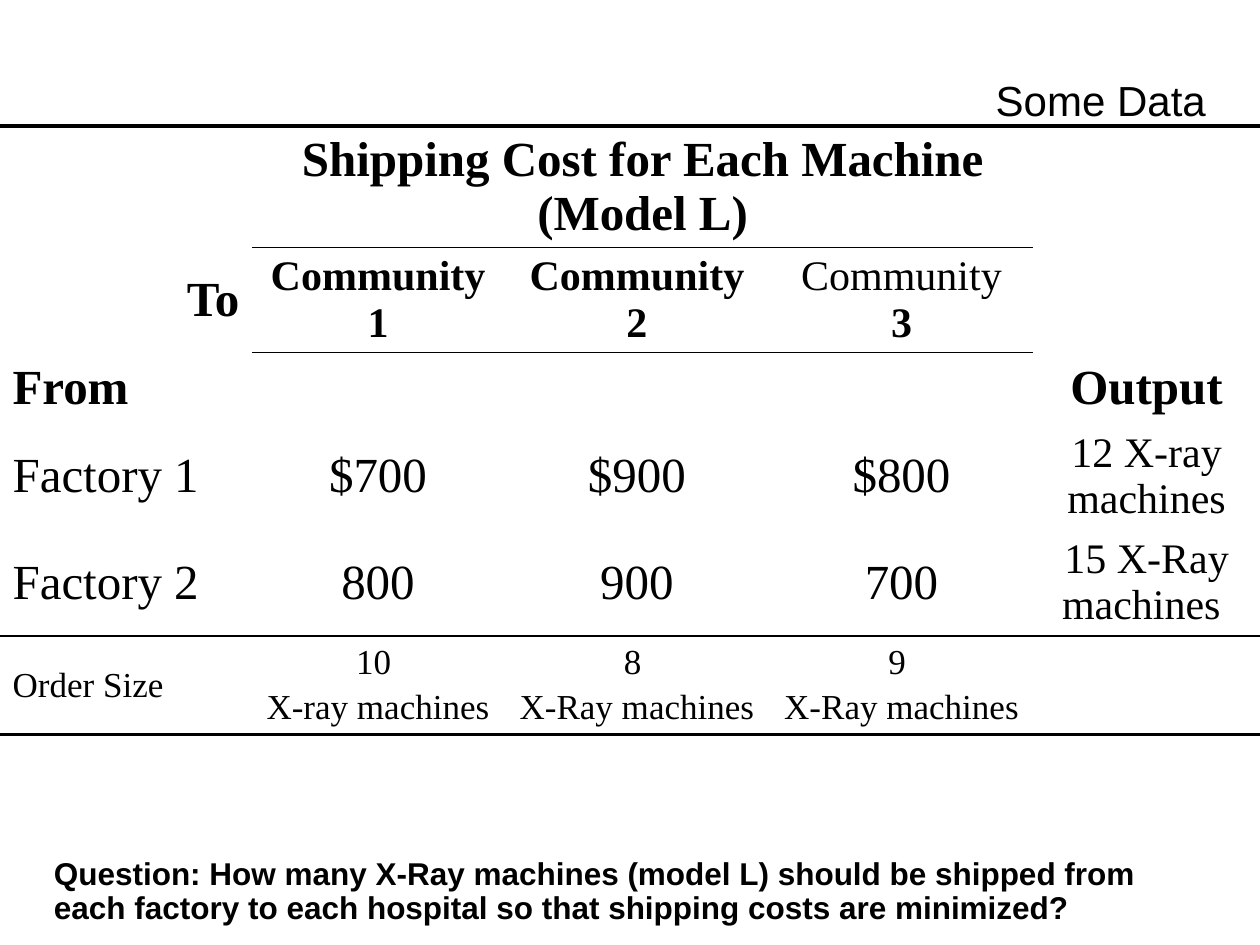
from lxml import etree
from pptx import Presentation
from pptx.dml.color import RGBColor
from pptx.enum.text import MSO_ANCHOR, PP_ALIGN
from pptx.oxml.ns import qn
from pptx.util import Inches, Pt

BLACK = "000000"
SERIF, SANS = "Times New Roman", "Arial"
THICK, THIN = 2.25, 0.75
NO_GRID_STYLE = "{2D5ABB26-0587-4C30-8999-92F81FD0307C}"

TITLE = "Some Data"
QUESTION = ("Question: How many X-Ray machines (model L) should be shipped from "
            "each factory to each hospital so that shipping costs are minimized?")

# A newline starts a new paragraph, \v breaks a line.
ROWS = [
    ["", "Shipping Cost for Each Machine (Model L)", "", "", ""],
    ["To", "Community 1", "Community 2", "Community\v3", ""],
    ["From", "", "", "", "Output"],
    ["Factory 1", "$700", "$900", "$800", "12 X-ray machines"],
    ["Factory 2", "800", "900", "700", "15 X-Ray machines "],
    ["Order Size", "10 \nX-ray machines ", "8 \nX-Ray machines", "9 \nX-Ray machines", ""],
]
COLUMN_WIDTHS = [2, 2, 2.11, 2.09, 1.8]
ROW_HEIGHTS = [0.96, 0.83, 0.56, 0.84, 0.85, 0.78]
BOLD_ROWS = 3
ORDER_ROW = len(ROWS) - 1
COST_COLUMNS = range(1, 4)


def style_font(font, name, size, bold=False, color=BLACK):
    font.name, font.size, font.bold = name, Pt(size), bold
    font.color.rgb = RGBColor.from_string(color)


def text_size(row, column):
    if row == ORDER_ROW:
        return 20
    is_community = row == 1 and column in COST_COLUMNS
    is_output = row > 2 and column == 4
    return 24 if is_community or is_output else 28


def text_alignment(row, column):
    if column:
        return PP_ALIGN.CENTER
    return PP_ALIGN.RIGHT if row == 1 else PP_ALIGN.LEFT


def cell_borders(row, column):
    """Return the widths of the top and bottom lines, where there are any."""
    top = {0: THICK, ORDER_ROW: THIN}.get(row)
    bottom = {ORDER_ROW - 1: THIN, ORDER_ROW: THICK}.get(row)
    if column in COST_COLUMNS:
        top = THIN if row == 1 else top
        bottom = THIN if row == 0 else bottom
    return {"a:lnT": top, "a:lnB": bottom}


def draw_borders(cell, borders):
    properties = cell._tc.get_or_add_tcPr()
    for tag, width in borders.items():
        if width:
            line = etree.SubElement(properties, qn(tag), w=str(Pt(width)))
            fill = etree.SubElement(line, qn("a:solidFill"))
            etree.SubElement(fill, qn("a:srgbClr"), val=BLACK)


def fill_cell(cell, row, column, text):
    draw_borders(cell, cell_borders(row, column))
    cell.fill.background()
    cell.vertical_anchor = MSO_ANCHOR.MIDDLE
    if not text:
        return
    size = text_size(row, column)
    cell.text_frame.text = text
    for index, paragraph in enumerate(cell.text_frame.paragraphs):
        paragraph.alignment = text_alignment(row, column)
        paragraph.space_before = Pt(0.2 * size if index else 0)
        style_font(paragraph.font, SERIF, size, row < BOLD_ROWS)


def add_cost_table(slide):
    frame = slide.shapes.add_table(len(ROWS), len(COLUMN_WIDTHS), Inches(0), Inches(1),
                                   Inches(sum(COLUMN_WIDTHS)), Inches(sum(ROW_HEIGHTS)))
    table = frame.table
    table.first_row = table.horz_banding = False
    next(frame.element.iter(qn("a:tableStyleId"))).text = NO_GRID_STYLE
    for column, width in zip(table.columns, COLUMN_WIDTHS):
        column.width = Inches(width)
    for row, height in zip(table.rows, ROW_HEIGHTS):
        row.height = Inches(height)
    table.cell(0, COST_COLUMNS[0]).merge(table.cell(0, COST_COLUMNS[-1]))
    for row, texts in enumerate(ROWS):
        for column, text in enumerate(texts):
            fill_cell(table.cell(row, column), row, column, text)
    table.cell(1, 3).text_frame.paragraphs[0].runs[0].font.bold = False


def add_title(slide):
    title = slide.shapes.title
    title.left, title.top = Inches(1.5), Inches(0.17)
    title.width, title.height = Inches(8.17), Inches(1.25)
    title.text_frame.text = TITLE
    title.text_frame.vertical_anchor = MSO_ANCHOR.MIDDLE
    paragraph = title.text_frame.paragraphs[0]
    paragraph.alignment = PP_ALIGN.RIGHT
    style_font(paragraph.font, SANS, 24)


def add_question(slide):
    box = slide.shapes.add_textbox(Inches(0.33), Inches(6.76), Inches(9.17), Inches(0.65))
    box.text_frame.word_wrap = True
    box.text_frame.text = QUESTION
    paragraph = box.text_frame.paragraphs[0]
    paragraph.line_spacing = 0.9
    style_font(paragraph.font, SANS, 18, bold=True)


def main():
    presentation = Presentation()
    presentation.slide_width, presentation.slide_height = Inches(10), Inches(7.5)
    slide = presentation.slides.add_slide(presentation.slide_layouts[5])
    add_title(slide)
    add_cost_table(slide)
    add_question(slide)
    presentation.save("out.pptx")


if __name__ == "__main__":
    main()
